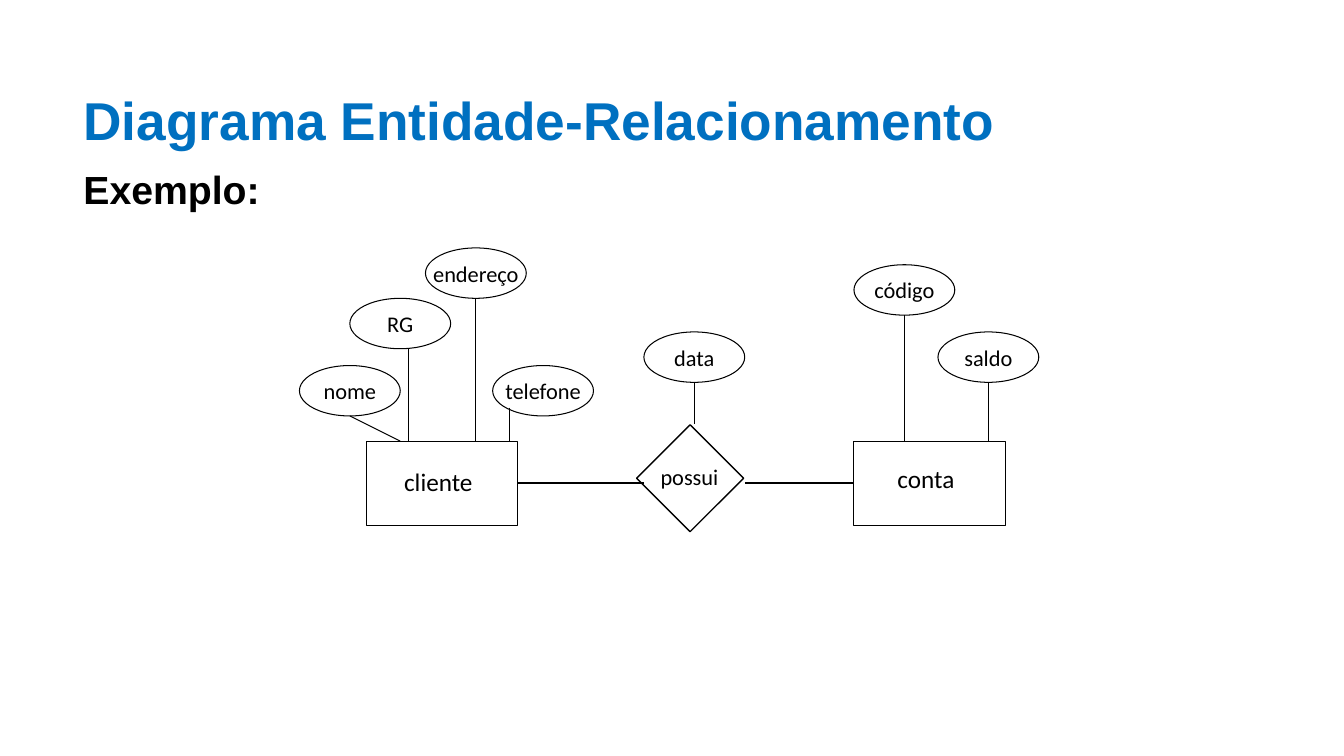
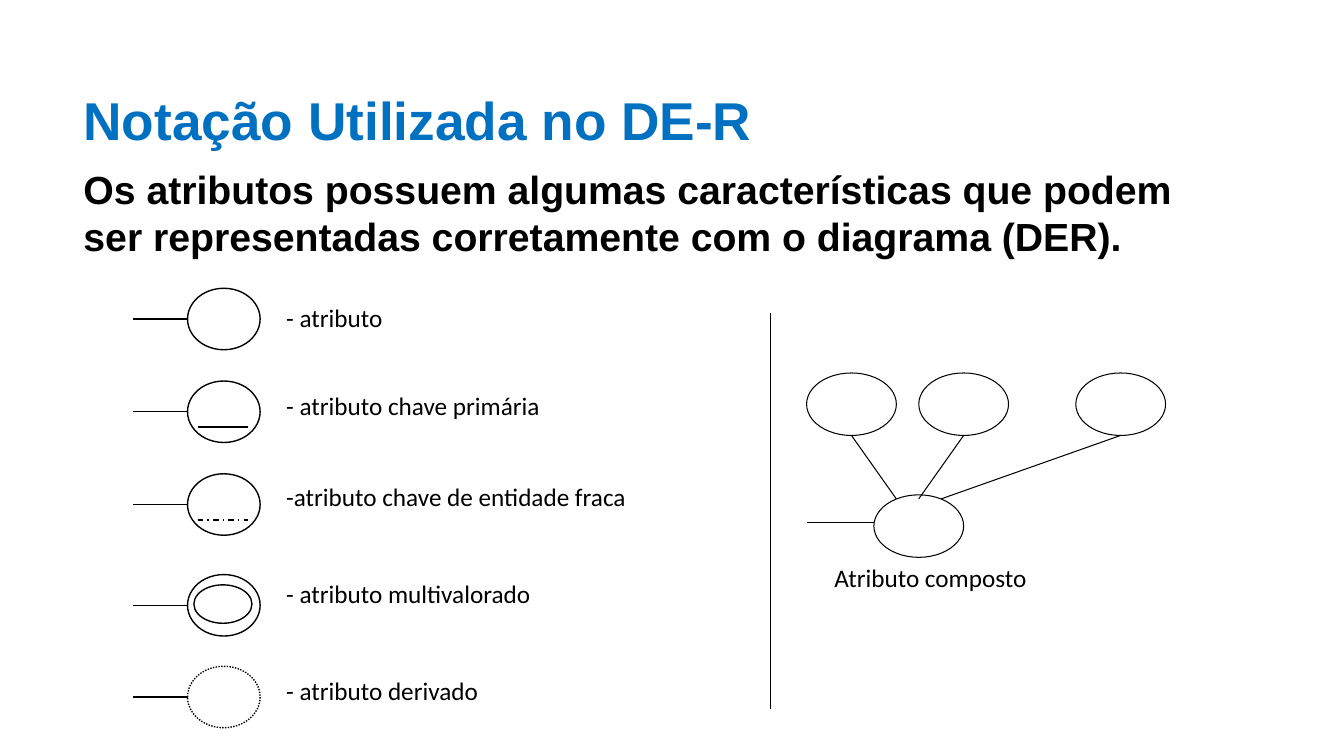
import dataclasses

import pptx
import pptx.dml.color
import pptx.enum.dml
import pptx.enum.shapes
import pptx.enum.text
import pptx.oxml
import pptx.util

SLIDE_WIDTH, SLIDE_HEIGHT = 13.33, 7.5
BLUE, BLACK, WHITE = "0070C0", "000000", "FFFFFF"
HEADING_FONT, LABEL_FONT = "Arial", "Calibri"
THIN, MEDIUM = 0.75, 1

SHAPES = pptx.enum.shapes.MSO_SHAPE
DASHES = pptx.enum.dml.MSO_LINE
ALIGN = pptx.enum.text.PP_ALIGN
ANCHOR = pptx.enum.text.MSO_ANCHOR


@dataclasses.dataclass
class Grid:
    """A region's origin and the size of its columns and rows, in inches."""
    left: float
    top: float
    column: float
    row: float

    def point(self, column, row):
        return (pptx.util.Inches(self.left + column * self.column),
                pptx.util.Inches(self.top + row * self.row))

    def box(self, column, row, columns, rows):
        return (*self.point(column, row), pptx.util.Inches(columns * self.column),
                pptx.util.Inches(rows * self.row))


INCHES = Grid(0, 0, 1, 1)


def color(hex_value):
    return pptx.dml.color.RGBColor.from_string(hex_value)


def write(paragraph, text, size=18, font=LABEL_FONT, fill=BLACK, bold=False,
          align=None, before=0):
    run = paragraph.add_run()
    run.text = text
    run.font.size = pptx.util.Pt(size)
    run.font.name = font
    run.font.bold = bold
    run.font.color.rgb = color(fill)
    paragraph.alignment = align
    paragraph.space_before = pptx.util.Pt(before)


def add_text(slide, box, entries, wrap=True):
    """Add a text box; each entry is a text and its format."""
    frame = slide.shapes.add_textbox(*box).text_frame
    frame.word_wrap = wrap
    for index, (text, style) in enumerate(entries):
        paragraph = frame.add_paragraph() if index else frame.paragraphs[0]
        write(paragraph, text, **style)


def add_outline(slide, kind, box, width=THIN, fill=None, dash=None, text=None):
    shape = slide.shapes.add_shape(kind, *box)
    shape.shadow.inherit = False
    if fill:
        shape.fill.solid()
        shape.fill.fore_color.rgb = color(fill)
    else:
        shape.fill.background()
    shape.line.color.rgb = color(BLACK)
    shape.line.width = pptx.util.Pt(width)
    if dash:
        shape.line.dash_style = dash
    if text:
        frame = shape.text_frame
        frame.word_wrap = False
        frame.vertical_anchor = ANCHOR.MIDDLE
        write(frame.paragraphs[0], text, size=16, align=ALIGN.CENTER)
    return shape


def add_line(slide, start, end, width=THIN, dash=None):
    line = slide.shapes.add_connector(
        pptx.enum.shapes.MSO_CONNECTOR.STRAIGHT, *start, *end)
    line.line.color.rgb = color(BLACK)
    line.line.width = pptx.util.Pt(width)
    if dash:
        line.line.dash_style = dash
    line.element.spPr.append(pptx.oxml.parse_xml(
        '<a:effectLst xmlns:a="http://schemas.openxmlformats.org/drawingml/2006/main"/>'))
    return line


def add_headed_slide(presentation, title, subtitle):
    slide = presentation.slides.add_slide(presentation.slide_layouts[6])
    shared = {"font": HEADING_FONT, "bold": True}
    add_text(slide, INCHES.box(0.73, 0.82, 11.5, 1.9), [
        (title, {**shared, "size": 38, "fill": BLUE}),
        (subtitle, {**shared, "size": 28, "before": 10}),
    ])
    return slide


def add_entity_diagram(slide, grid):
    entity_top, axis = 11.5, 14
    client, account = (
        add_outline(slide, SHAPES.RECTANGLE, grid.box(column, entity_top, 9, 5))
        for column in (4, 33))

    # name, column, row, link start, link end
    attributes = [
        ("RG", 3, 3, (6.5, 6), (6.5, entity_top)),
        ("nome", 0, 7, (3, 10), (6, entity_top)),
        ("endereço", 7.5, 0, (10.5, 3), (10.5, entity_top)),
        ("telefone", 11.5, 7, (12.5, 9.5), (12.5, entity_top)),
        ("data", 20.5, 5, (23.5, 8), (23.5, 10.5)),
        ("saldo", 38, 5, (41, 8), (41, entity_top)),
        ("código", 33, 1, (36, 4), (36, entity_top)),
    ]
    for name, column, row, start, end in attributes:
        add_outline(slide, SHAPES.OVAL, grid.box(column, row, 6, 3), text=name)
        add_line(slide, grid.point(*start), grid.point(*end))

    add_outline(slide, SHAPES.DIAMOND, grid.box(20.07, 10.53, 6.36, 6.36), MEDIUM)
    for entity, side, inner, outer in ((client, 3, 20.5, 13), (account, 1, 26.5, 33)):
        link = add_line(slide, grid.point(inner, axis), grid.point(outer, axis), MEDIUM)
        link.end_connect(entity, side)

    for text, size, column, row in (
            ("cliente", 18, 5.64, 12.7),
            ("conta", 18, 35, 12.5),
            ("possui", 16, 20.9, 12.5)):
        add_text(slide, grid.box(column, row, 6.5, 3), [(text, {"size": size})],
                 wrap=False)


def add_attribute_symbol(slide, grid, dash=None, key=False, key_dash=None, inner=False):
    add_outline(slide, SHAPES.OVAL, grid.box(3, 0, 4, 4), MEDIUM, WHITE, dash)
    add_line(slide, grid.point(3, 2), grid.point(0, 2), MEDIUM)
    if key:
        add_line(slide, grid.point(3.56, 3), grid.point(6.33, 3), MEDIUM, key_dash)
    if inner:
        add_outline(slide, SHAPES.OVAL, grid.box(3.35, 0.67, 3.2, 2.5), MEDIUM, WHITE)


def add_notation_legend(slide, left, top):
    # offset from the top, symbol options, label, space before the label
    notations = [
        (0, {}, "- atributo", 0),
        (0.92, {"key": True}, "- atributo chave primária", 41),
        (1.84, {"key": True, "key_dash": DASHES.DASH_DOT},
         "-atributo chave de entidade fraca", 43.5),
        (2.84, {"inner": True}, "- atributo multivalorado", 48),
        (3.75, {"dash": DASHES.ROUND_DOT}, "- atributo derivado", 47.5),
    ]
    for offset, options, _, _ in notations:
        add_attribute_symbol(slide, Grid(left, top + offset, 0.18, 0.61 / 4), **options)
    add_text(slide, INCHES.box(left + 1.42, top + 0.09, 3.88, 4.5),
             [(label, {"align": ALIGN.JUSTIFY, "before": before})
              for _, _, label, before in notations])


def add_composite_attribute(slide, grid):
    parent_column, parent_row = 3, 7.8
    for column, row in ((0, 0), (5, 0), (12, 0), (parent_column, parent_row)):
        add_outline(slide, SHAPES.OVAL, grid.box(column, row, 4, 4), fill=WHITE)
    add_line(slide, grid.point(parent_column, 9.6), grid.point(0, 9.6))
    for column, target in ((2, 4), (7, 5), (14, 6)):
        add_line(slide, grid.point(column, 4), grid.point(target, 8.06))
    add_text(slide, grid.box(0.8, 11.8, 12.2, 3.2), [("Atributo composto", {})],
             wrap=False)


def main():
    presentation = pptx.Presentation()
    presentation.slide_width = pptx.util.Inches(SLIDE_WIDTH)
    presentation.slide_height = pptx.util.Inches(SLIDE_HEIGHT)

    slide = add_headed_slide(presentation, "Diagrama Entidade-Relacionamento", "Exemplo:")
    add_entity_diagram(slide, Grid(2.97, 2.46, 1 / 6, 1 / 6))

    slide = add_headed_slide(
        presentation, "Notação Utilizada no DE-R",
        "Os atributos possuem algumas características que podem ser representadas "
        "corretamente com o diagrama (DER).")
    add_notation_legend(slide, 1.32, 2.86)
    add_line(slide, INCHES.point(7.64, 3.11), INCHES.point(7.64, 7.03))
    add_composite_attribute(slide, Grid(8, 3.7, 0.89 / 4, 0.62 / 4))

    presentation.save("out.pptx")


if __name__ == "__main__":
    main()
